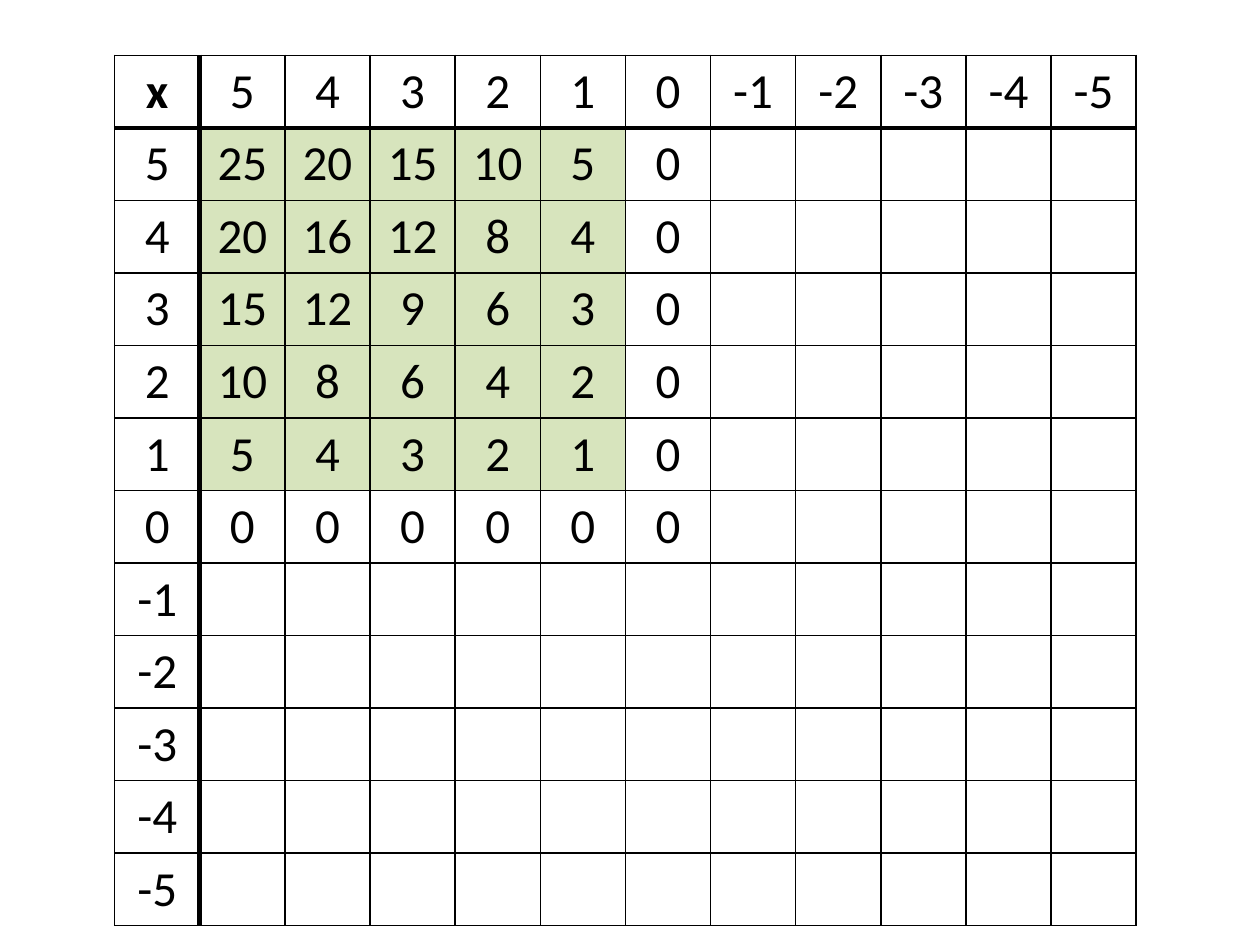
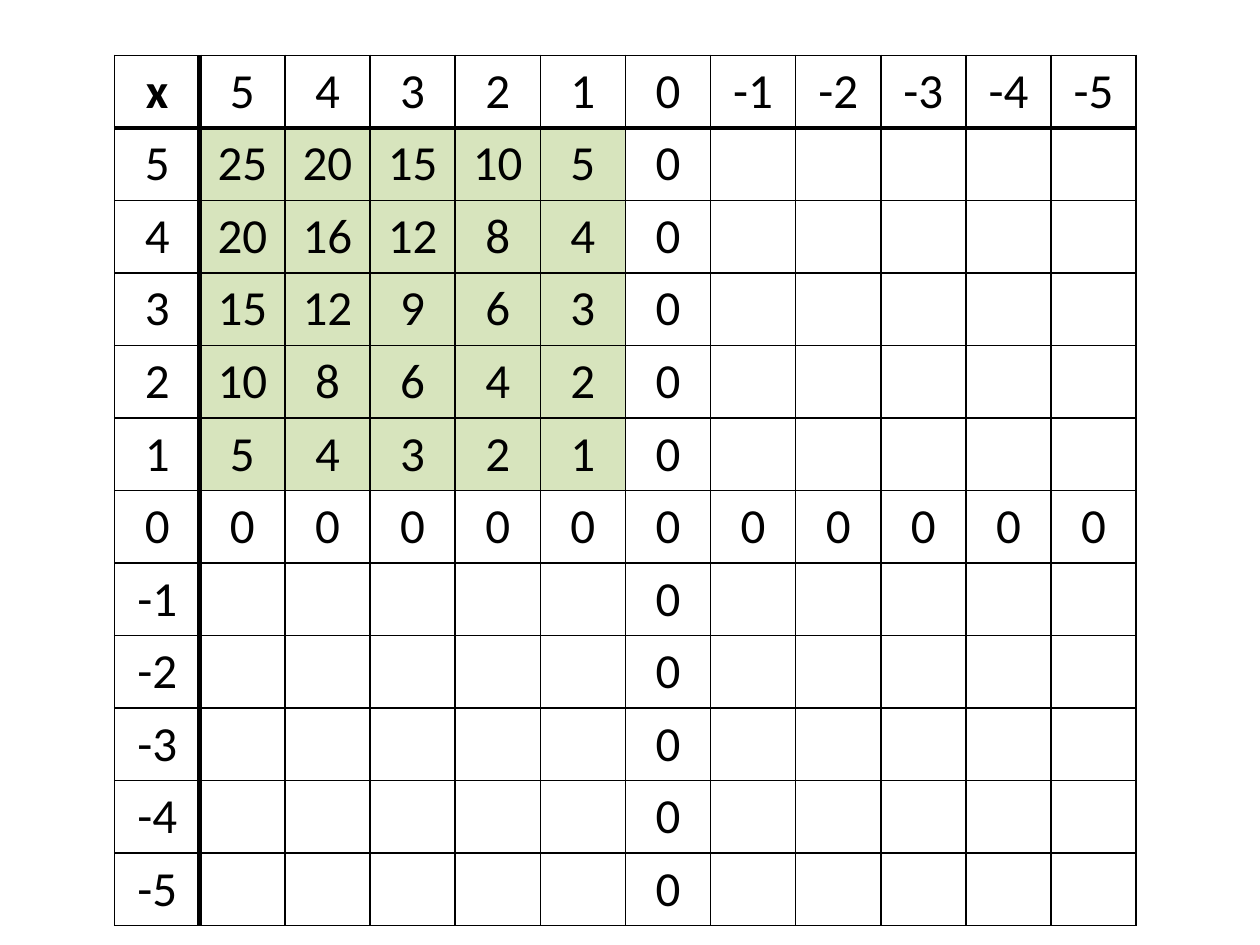
from lxml.etree import SubElement
from pptx import Presentation
from pptx.dml.color import RGBColor
from pptx.enum.text import PP_ALIGN
from pptx.oxml.ns import qn
from pptx.util import Pt

HUES = {"ink": "000000", "green": "D7E4BD", "paper": "FFFFFF"}
NUMS = list(range(5, -6, -1))
COUNT = len(NUMS) + 1


class Deck:
    font = "Calibri"
    size = Pt(28)
    thin = Pt(1)
    thick = Pt(3)

    def __init__(self):
        self.deck = Presentation()
        self.deck.slide_width = Pt(720)
        self.deck.slide_height = Pt(540)
        self.slide = None

    def page(self):
        self.slide = self.deck.slides.add_slide(self.deck.slide_layouts[6])
        fill = self.slide.background.fill
        fill.solid()
        fill.fore_color.rgb = RGBColor.from_string(HUES["paper"])

    def grid(self, left, top, width, height, row_height):
        frame = self.slide.shapes.add_table(
            COUNT, COUNT, Pt(left), Pt(top), Pt(width), Pt(height))
        table = frame.table
        table.first_row = False
        table.horz_banding = False
        for col in table.columns:
            col.width = Pt(width / COUNT)
        for row in table.rows:
            row.height = Pt(row_height)
        frame.height = Pt(height)
        return table

    def edge(self, cell, row, col):
        bold = {"lnL": col == 1, "lnR": col == 0, "lnT": row == 1, "lnB": row == 0}
        props = cell._tc.get_or_add_tcPr()
        for side, heavy in bold.items():
            line = SubElement(props, qn("a:" + side))
            line.set("w", str(self.thick if heavy else self.thin))
            paint = SubElement(line, qn("a:solidFill"))
            SubElement(paint, qn("a:srgbClr")).set("val", HUES["ink"])

    def tint(self, cell, hue):
        if hue:
            cell.fill.solid()
            cell.fill.fore_color.rgb = RGBColor.from_string(HUES[hue])
        else:
            cell.fill.background()

    def text(self, cell, words, bold):
        para = cell.text_frame.paragraphs[0]
        para.alignment = PP_ALIGN.CENTER
        run = para.add_run()
        run.text = words
        run.font.name = self.font
        run.font.size = self.size
        run.font.bold = bold
        run.font.color.rgb = RGBColor.from_string(HUES["ink"])

    def times(self, shown):
        self.page()
        table = self.grid(65.5, 31.7, 584, 489.6, 36.7)
        for row in range(COUNT):
            for col in range(COUNT):
                cell = table.cell(row, col)
                self.edge(cell, row, col)
                inner = row > 0 and col > 0
                green = inner and NUMS[row - 1] > 0 and NUMS[col - 1] > 0
                self.tint(cell, "green" if green else None)
                words = label(row, col, shown)
                if words:
                    self.text(cell, words, row == col == 0)


def label(row, col, shown):
    if row == col == 0:
        return "x"
    if row == 0 or col == 0:
        return str(NUMS[row + col - 1])
    down, across = NUMS[row - 1], NUMS[col - 1]
    return str(down * across) if shown(down, across) else ""


def solved(down, across):
    return down >= 0 and across >= 0


def zeros(down, across):
    return solved(down, across) or down * across == 0


def main():
    deck = Deck()
    for shown in (solved, zeros):
        deck.times(shown)
    deck.deck.save("out.pptx")


if __name__ == "__main__":
    main()
